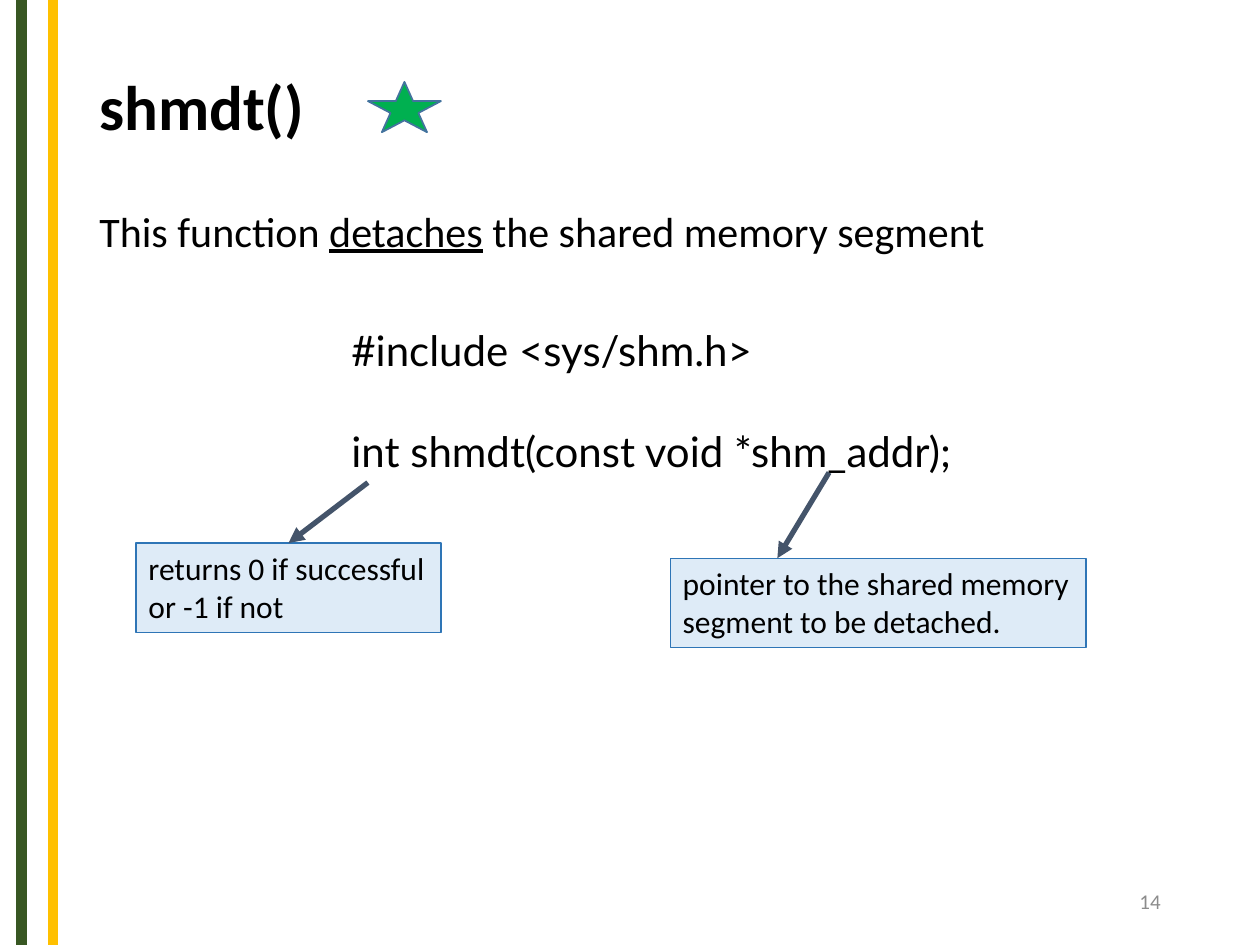
from lxml import etree
from pptx import Presentation
from pptx.dml.color import RGBColor
from pptx.enum import shapes, text
from pptx.oxml import ns
from pptx.util import Inches, Pt

BLACK = RGBColor(0x00, 0x00, 0x00)
GREY = RGBColor(0x8C, 0x8C, 0x8C)
DARK_GREEN = RGBColor(0x38, 0x57, 0x23)
GOLD = RGBColor(0xFF, 0xC0, 0x00)
SLATE = RGBColor(0x44, 0x54, 0x6A)
PALE_BLUE = RGBColor(0xDE, 0xEB, 0xF7)
BLUE = RGBColor(0x2E, 0x75, 0xB6)
STAR_GREEN = RGBColor(0x00, 0xB0, 0x50)
STAR_EDGE = RGBColor(0x43, 0x73, 0x9E)


def inches(values):
    return [Inches(value) for value in values]


def style(para, size, color=BLACK, name="Calibri", bold=False):
    para.font.size = Pt(size)
    para.font.color.rgb = color
    para.font.name = name
    para.font.bold = bold


def write(shape, lines, size, color=BLACK, name="Calibri", bold=False,
          align=text.PP_ALIGN.LEFT, anchor=text.MSO_ANCHOR.TOP, wrap=True):
    frame = shape.text_frame
    frame.word_wrap = wrap
    frame.vertical_anchor = anchor
    frame.text = "\n".join(lines)
    for para in frame.paragraphs:
        para.alignment = align
        style(para, size, color, name, bold)
    return frame


def add_text(page, box, lines, size, **options):
    return write(page.shapes.add_textbox(*inches(box)), lines, size, **options)


def add_filled(page, kind, box, fill, edge, width):
    shape = page.shapes.add_shape(kind, *inches(box))
    shape.shadow.inherit = False
    shape.fill.solid()
    shape.fill.fore_color.rgb = fill
    shape.line.color.rgb = edge
    shape.line.width = Pt(width)
    return shape


def add_line(page, start, end, color, width):
    line = page.shapes.add_connector(
        shapes.MSO_CONNECTOR.STRAIGHT, *inches(start + end))
    line.line.color.rgb = color
    line.line.width = Pt(width)
    etree.SubElement(line._element.spPr, ns.qn("a:effectLst"))
    return line


def add_arrow(page, start, end):
    arrow = add_line(page, start, end, SLATE, 3)
    outline = arrow.line._get_or_add_ln()
    etree.SubElement(outline, ns.qn("a:tailEnd"), type="triangle")
    return arrow


def add_side_stripes(page, height):
    for x, color in ((0.17, DARK_GREEN), (0.42, GOLD)):
        add_line(page, (x, 0), (x, height), color, 6)


def add_heading(page, box):
    left, top, _, _ = box
    frame = add_text(page, box, ["shmdt()"], 36, bold=True,
                     anchor=text.MSO_ANCHOR.MIDDLE)
    frame.paragraphs[0].line_spacing = 0.9
    add_filled(page, shapes.MSO_SHAPE.STAR_5_POINT,
               (left + 2.23, top + 0.5, 0.58, 0.4), STAR_GREEN, STAR_EDGE, 1)


def add_summary(page, box):
    frame = add_text(page, box, [""], 24)
    para = frame.paragraphs[0]
    for part in ("This function ", "detaches", " the shared memory segment"):
        span = para.add_run()
        span.text = part
        span.font.underline = part == "detaches"


def add_declaration(page, box):
    lines = ["#include <sys/shm.h>", "int shmdt(const void *shm_addr);"]
    frame = add_text(page, box, lines, 24, name="Lato", wrap=False)
    frame.paragraphs[1].space_before = Pt(28.8)


def add_callout(page, box, lines):
    callout = add_filled(page, shapes.MSO_SHAPE.RECTANGLE, box,
                         PALE_BLUE, BLUE, 0.75)
    write(callout, lines, 18, wrap=False)
    return callout


def add_page_number(page, box):
    add_text(page, box, ["14"], 12, color=GREY, align=text.PP_ALIGN.RIGHT,
             anchor=text.MSO_ANCHOR.MIDDLE)


def main():
    deck = Presentation()
    deck.slide_width, deck.slide_height = Inches(10), Inches(7.5)
    page = deck.slides.add_slide(deck.slide_layouts[6])
    add_side_stripes(page, 7.5)
    add_heading(page, (0.69, 0.15, 8.62, 1.45))
    add_declaration(page, (2.69, 2.53, 5.25, 1.31))
    add_callout(page, (5.32, 4.43, 3.3, 0.71),
                ["pointer to the shared memory", "segment to be detached."])
    add_arrow(page, (6.58, 3.75), (6.17, 4.43))
    result = add_callout(page, (1.08, 4.31, 2.42, 0.71),
                         ["returns 0 if successful", "or -1 if not"])
    add_arrow(page, (2.92, 3.83), (2.29, 4.31)).end_connect(result, 0)
    add_summary(page, (0.69, 1.58, 7.36, 0.5))
    add_page_number(page, (7.06, 6.95, 2.25, 0.4))
    deck.save("out.pptx")


if __name__ == "__main__":
    main()
